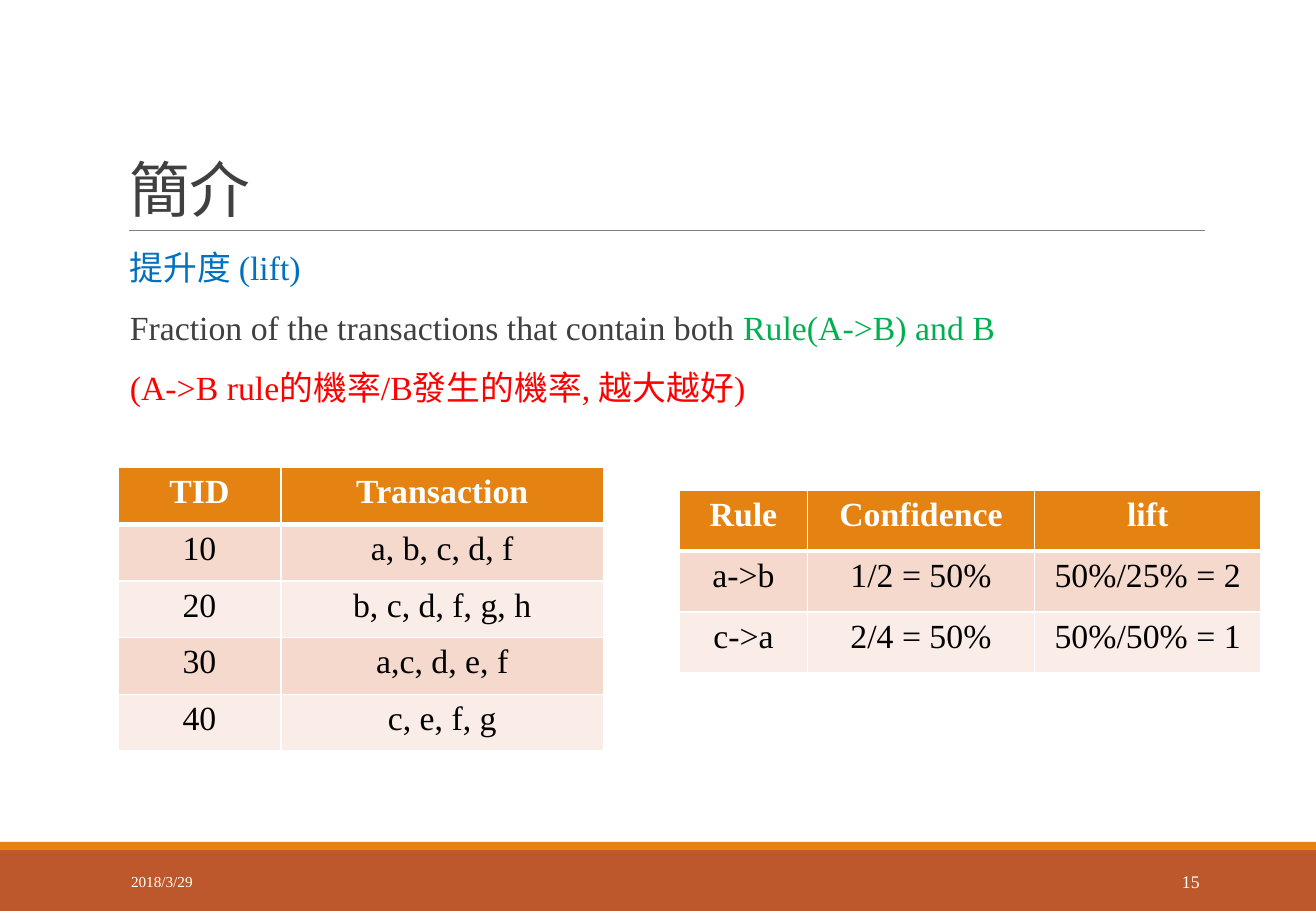
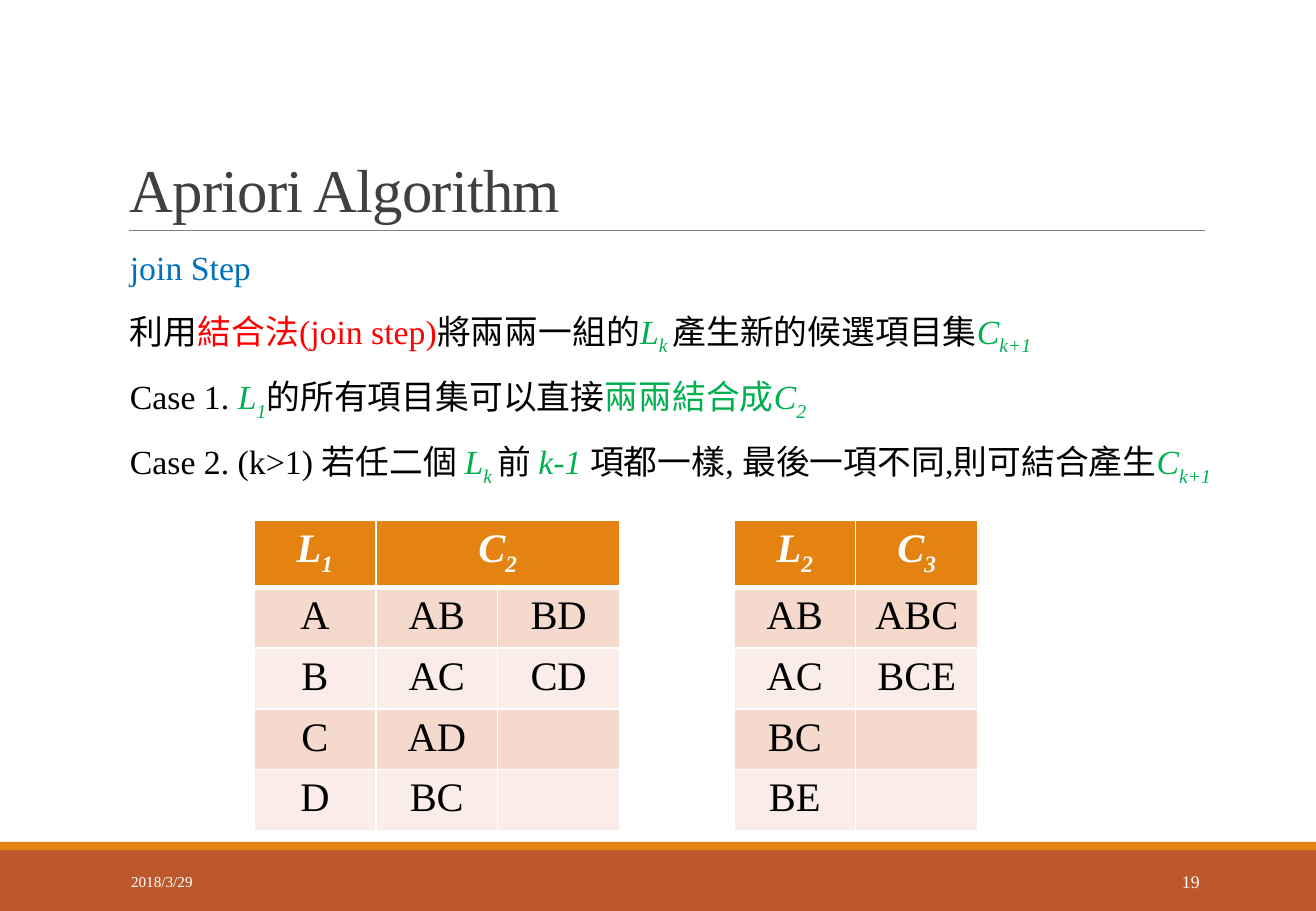
from dataclasses import dataclass

from lxml import etree
from pptx import Presentation
from pptx.dml.color import RGBColor
from pptx.enum.shapes import MSO_CONNECTOR, MSO_SHAPE
from pptx.enum.text import MSO_ANCHOR, PP_ALIGN
from pptx.oxml.ns import qn
from pptx.util import Inches, Pt

RECT, LINE = MSO_SHAPE.RECTANGLE, MSO_CONNECTOR.STRAIGHT
LEFT, CENTER, RIGHT = PP_ALIGN.LEFT, PP_ALIGN.CENTER, PP_ALIGN.RIGHT
TOP, MIDDLE, BOTTOM = MSO_ANCHOR.TOP, MSO_ANCHOR.MIDDLE, MSO_ANCHOR.BOTTOM

WIDTH, HEIGHT = Inches(10.83), Inches(7.5)


@dataclass(frozen=True)
class Theme:
    font: str = "Times New Roman"
    white: str = "FFFFFF"
    black: str = "000000"
    gray: str = "404040"
    rule: str = "808080"
    blue: str = "0070C0"
    green: str = "00B050"
    red: str = "FF0000"
    accent: str = "E48312"
    band: str = "BD582C"
    rows: tuple = ("F5D9CC", "FAEDE7")
    title_size: float = 36
    body_size: float = 20
    large_size: float = 24
    date_size: float = 9
    number_size: float = 10.5


T = Theme()
MARGIN = 8.96  # left edge of title, body and first table, % of width


# Lengths are percentages of the slide's width (x) and height (y)
def x(share):
    return round(WIDTH * share / 100)


def y(share):
    return round(HEIGHT * share / 100)


def box(left, top, width, height):
    return x(left), y(top), x(width), y(height)


# Text: a paragraph is a list of (text, color, format) runs, where format
# holds any of b (bold), i (italic), s (subscript)
def var(letter, index, color=T.green, fmt="i"):
    return [(letter, color, fmt), (index, color, fmt + "s")]


def write(p, runs, size, align=LEFT):
    p.alignment = align
    for text, color, fmt in runs:
        r = p.add_run()
        r.text = text
        f = r.font
        f.name, f.size = T.font, Pt(size)
        f.color.rgb = RGBColor.from_string(color)
        f.bold, f.italic = "b" in fmt, "i" in fmt
        if "s" in fmt:
            r._r.get_or_add_rPr().set("baseline", "-25000")


def add_text(s, place, paragraphs, size, align=LEFT, anchor=TOP):
    tf = s.shapes.add_textbox(*place).text_frame
    tf.word_wrap, tf.vertical_anchor = True, anchor
    for i, runs in enumerate(paragraphs):
        write(tf.add_paragraph() if i else tf.paragraphs[0], runs, size, align)
    return tf


def add_title(s, title):
    tf = add_text(s, box(MARGIN, 4.13, 82.55, 21.2), [[(title, T.gray, "")]],
                  T.title_size, anchor=BOTTOM)
    p = tf.paragraphs[0]
    p.line_spacing = 0.85
    p.runs[0]._r.get_or_add_rPr().set("spc", "-50")


def add_body(s, paragraphs, width=82.55):
    tf = add_text(s, box(MARGIN, 26.93, width, 58.67), paragraphs, T.body_size)
    tf.margin_left = Inches(0.1)
    tf.margin_right = 0
    for p in tf.paragraphs:
        p.line_spacing, p.space_before, p.space_after = 0.9, Pt(12), Pt(2)


# Shared frame: bands, title rule, date and slide number
def add_band(s, top, height, color):
    sp = s.shapes.add_shape(RECT, *box(0, top, 100, height))
    sp.shadow.inherit = False
    sp.fill.solid()
    sp.fill.fore_color.rgb = RGBColor.from_string(color)
    sp.line.fill.background()


def add_rule(s, left, right, top):
    line = s.shapes.add_connector(LINE, x(left), y(top), x(right), y(top))
    line.line.color.rgb = RGBColor.from_string(T.rule)
    line.line.width = Pt(0.5)
    etree.SubElement(line._element.spPr, qn("a:effectLst"))


def add_slide(prs, title, number):
    s = prs.slides.add_slide(prs.slide_layouts[6])
    add_band(s, 93.33, 6.67, T.band)
    add_band(s, 92.4, 0.93, T.accent)
    add_rule(s, 9.79, 91.6, 25.33)
    add_title(s, title)
    add_text(s, box(9.05, 94.13, 20.31, 5.33), [[("2018/3/29", T.white, "")]],
             T.date_size, anchor=MIDDLE)
    add_text(s, box(81.26, 94.13, 10.8, 5.33), [[(number, T.white, "")]],
             T.number_size, RIGHT, MIDDLE)
    return s


# Tables
def set_borders(cell, row):
    widths = {"L": 1, "R": 1, "T": 3 if row == 1 else 1, "B": 1 if row else 3}
    for side, width in widths.items():
        ln = etree.SubElement(cell._tc.get_or_add_tcPr(), qn("a:ln" + side),
                              w=str(Pt(width)))
        fill = etree.SubElement(ln, qn("a:solidFill"))
        etree.SubElement(fill, qn("a:srgbClr"), val=T.white)


def add_table(s, left, top, cols, row_height, header, rows, size):
    """Header cells are lists of runs, or None to extend the cell before."""
    cells = [header] + [[[(text, T.black, "")] if text else [] for text in row]
                        for row in rows]
    place = box(left, top, sum(cols), row_height * len(cells))
    table = s.shapes.add_table(len(cells), len(cols), *place).table
    for column, width in zip(table.columns, cols):
        column.width = x(width)
    for i, row in enumerate(cells):
        table.rows[i].height = y(row_height)
        color = T.rows[(i - 1) % 2] if i else T.accent
        for j, runs in enumerate(row):
            cell = table.cell(i, j)
            set_borders(cell, i)
            cell.fill.solid()
            cell.fill.fore_color.rgb = RGBColor.from_string(color)
            if runs is None:
                table.cell(i, j - 1).merge(cell)
            else:
                write(cell.text_frame.paragraphs[0], runs, size, CENTER)


def names(*labels):
    return [[(label, T.white, "b")] for label in labels]


def set_name(letter, index):
    return var(letter, index, T.white, "bi")


# Slides
def lift_slide(prs):
    s = add_slide(prs, "簡介", "15")
    add_body(s, [
        [("提升度 (lift)", T.blue, "")],
        [("Fraction of the transactions that contain both ", T.gray, ""),
         ("Rule(A->B) and B", T.green, "")],
        [("(A->B rule的機率/B發生的機率, 越大越好)", T.red, "")],
    ])
    add_table(s, MARGIN, 51.33, (12.4, 24.5), 6.23, names("TID", "Transaction"),
              [("10", "a, b, c, d, f"), ("20", "b, c, d, f, g, h"),
               ("30", "a,c, d, e, f"), ("40", "c, e, f, g")], T.body_size)
    add_table(s, 51.62, 53.8, (9.75, 17.23, 17.23), 6.7,
              names("Rule", "Confidence", "lift"),
              [("a->b", "1/2 = 50%", "50%/25% = 2"),
               ("c->a", "2/4 = 50%", "50%/50% = 1")], T.body_size)


def join_slide(prs):
    s = add_slide(prs, "Apriori Algorithm", "19")
    add_body(s, [
        [("join Step", T.blue, "")],
        [("利用", T.black, ""), ("結合法(join step)", T.red, ""),
         ("將兩兩一組的", T.black, ""), *var("L", "k "),
         ("產生新的候選項目集", T.black, ""), *var("C", "k+1")],
        [("Case 1. ", T.black, ""), *var("L", "1"),
         ("的所有項目集可以直接", T.black, ""), ("兩兩結合成", T.green, ""),
         *var("C", "2")],
        [("Case 2. (k>1) 若任二個 ", T.black, ""), *var("L", "k "),
         ("前 ", T.black, ""), ("k-1 ", T.green, "i"),
         ("項都一樣, 最後一項不同,則可結合產生", T.black, ""),
         *var("C", "k+1")],
    ], width=86.98)
    col, top, row_height = 9.26, 57.07, 5.68
    add_table(s, 19.3, top, (col,) * 3, row_height,
              [set_name("L", "1"), set_name("C", "2"), None],
              [("A", "AB", "BD"), ("B", "AC", "CD"), ("C", "AD", ""),
               ("D", "BC", "")], T.large_size)
    add_table(s, 55.77, top, (col,) * 2, row_height,
              [set_name("L", "2"), set_name("C", "3")],
              [("AB", "ABC"), ("AC", "BCE"), ("BC", ""), ("BE", "")],
              T.large_size)


def main():
    prs = Presentation()
    prs.slide_width, prs.slide_height = WIDTH, HEIGHT
    lift_slide(prs)
    join_slide(prs)
    prs.save("out.pptx")


if __name__ == "__main__":
    main()
